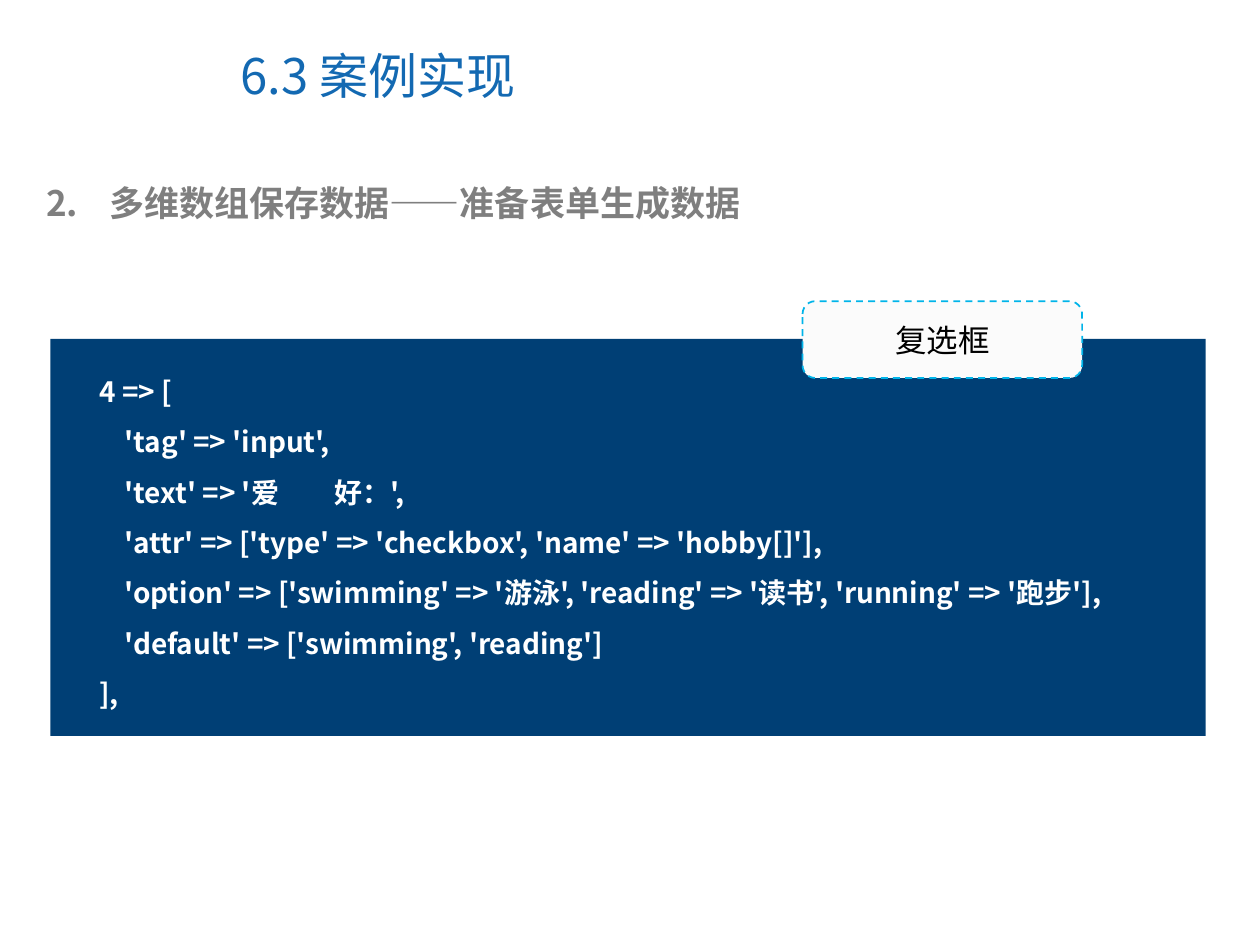
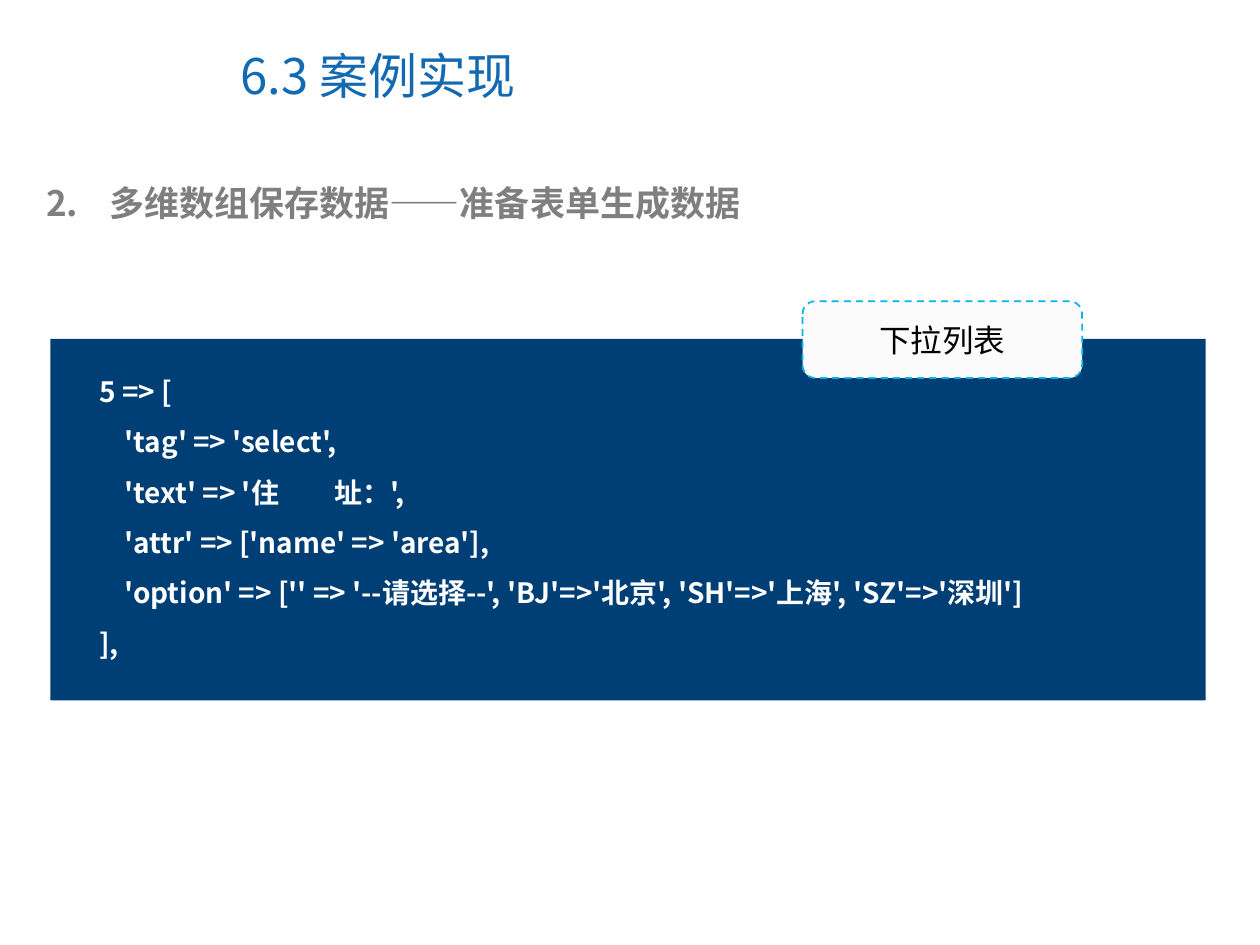
"""Build two slides that show form data kept in a nested array."""
from lxml import etree
from pptx import Presentation
from pptx.dml.color import RGBColor
from pptx.enum.dml import MSO_LINE
from pptx.enum.shapes import MSO_SHAPE
from pptx.enum.text import MSO_ANCHOR, PP_ALIGN
from pptx.oxml.ns import qn
from pptx.util import Pt

TITLE = "6.3 案例实现"
HEADING = "多维数组保存数据——准备表单生成数据"
HEADING_NUMBER = 2
PAGES = [
    {
        "label": "复选框",
        "panel_height": 226.8,
        "code": [
            "4 => [",
            "    'tag' => 'input',",
            "    'text' => '爱　　好：',",
            "    'attr' => ['type' => 'checkbox', 'name' => 'hobby[]'],",
            "    'option' => ['swimming' => '游泳', 'reading' => '读书', 'running' => '跑步'],",
            "    'default' => ['swimming', 'reading']",
            "],",
        ],
    },
    {
        "label": "下拉列表",
        "panel_height": 206.6,
        "code": [
            "5 => [",
            "    'tag' => 'select',",
            "    'text' => '住　　址：',",
            "    'attr' => ['name' => 'area'],",
            "    'option' => ['' => '--请选择--', 'BJ'=>'北京', 'SH'=>'上海', 'SZ'=>'深圳']",
            "],",
        ],
    },
]

BLUE = RGBColor(0x13, 0x69, 0xB2)
GRAY = RGBColor(0x7F, 0x7F, 0x7F)
NAVY = RGBColor(0x00, 0x3F, 0x75)
CYAN = RGBColor(0x00, 0xB4, 0xE9)
PALE = RGBColor(0xFB, 0xFB, 0xFB)
WHITE = RGBColor(0xFF, 0xFF, 0xFF)
BLACK = RGBColor(0x00, 0x00, 0x00)

RECTANGLE, ROUNDED = MSO_SHAPE.RECTANGLE, MSO_SHAPE.ROUNDED_RECTANGLE
TOP, MIDDLE = MSO_ANCHOR.TOP, MSO_ANCHOR.MIDDLE
LEFT, CENTER = PP_ALIGN.LEFT, PP_ALIGN.CENTER
DASH = MSO_LINE.DASH

CJK_FONT = "Noto Sans CJK SC"
TITLE_FONT = {"name": CJK_FONT, "size": Pt(28), "color": BLUE}
HEADING_FONT = {"name": CJK_FONT, "size": Pt(20), "bold": True, "color": GRAY}
CODE_FONT = {"name": CJK_FONT, "size": Pt(16), "bold": True, "color": WHITE}
LABEL_FONT = {"name": "Arial", "size": Pt(18), "color": BLACK}

TITLE_AREA = (130.3, 12.2, 371.5, 61.2)
HEADING_AREA = (19.4, 100.1, 663.8, 31.7)
LABEL_AREA = (458.6, 172.1, 159.8, 43.9)
PANEL_LEFT, PANEL_TOP, PANEL_WIDTH = 28.8, 193.7, 660.2
CODE_INSET_X, CODE_INSET_Y = 20.9, 7.2
CODE_LINE_HEIGHT = 28.8
HEADING_INDENT = 36


def write(box, lines, style, anchor=TOP, align=LEFT, spacing=None):
    """Fill a box with one styled paragraph for each line."""
    frame = box.text_frame
    frame.word_wrap = True
    frame.vertical_anchor = anchor
    for index, line in enumerate(lines):
        para = frame.add_paragraph() if index else frame.paragraphs[0]
        para.alignment = align
        para.line_spacing = spacing
        span = para.add_run()
        span.text = line
        for name, value in style.items():
            if name == "color":
                span.font.color.rgb = value
            else:
                setattr(span.font, name, value)
        east_asian = etree.SubElement(span.font._element, qn("a:ea"))
        east_asian.set("typeface", CJK_FONT)


def add_text(page, area, lines, style, **layout):
    """Add a text box and return it."""
    box = page.shapes.add_textbox(*map(Pt, area))
    write(box, lines, style, **layout)
    return box


def add_panel(page, kind, area, fill):
    """Add a filled shape without shadow or outline and return it."""
    panel = page.shapes.add_shape(kind, *map(Pt, area))
    panel.shadow.inherit = False
    panel.fill.solid()
    panel.fill.fore_color.rgb = fill
    panel.line.fill.background()
    return panel


def number_paragraph(para, start):
    """Give a paragraph a hanging automatic number."""
    properties = para._p.get_or_add_pPr()
    properties.set("marL", str(Pt(HEADING_INDENT)))
    properties.set("indent", str(-Pt(HEADING_INDENT)))
    color = etree.SubElement(properties, qn("a:buClr"))
    etree.SubElement(color, qn("a:srgbClr")).set("val", str(GRAY))
    number = etree.SubElement(properties, qn("a:buAutoNum"))
    number.set("type", "arabicPeriod")
    number.set("startAt", str(start))


def add_code(page, code, height):
    """Add the dark panel and the code on it."""
    add_panel(page, RECTANGLE, (PANEL_LEFT, PANEL_TOP, PANEL_WIDTH, height), NAVY)
    area = (PANEL_LEFT + CODE_INSET_X, PANEL_TOP + CODE_INSET_Y,
            PANEL_WIDTH - CODE_INSET_X, len(code) * CODE_LINE_HEIGHT + 7.2)
    add_text(page, area, code, CODE_FONT, spacing=1.5)


def add_label(page, text):
    """Add the dashed label over the edge of the code panel."""
    label = add_panel(page, ROUNDED, LABEL_AREA, PALE)
    label.line.color.rgb = CYAN
    label.line.width = Pt(1)
    label.line.dash_style = DASH
    write(label, [text], LABEL_FONT, anchor=MIDDLE, align=CENTER)


def main():
    """Build and save the deck."""
    deck = Presentation()
    deck.slide_width, deck.slide_height = Pt(720), Pt(540)
    for content in PAGES:
        page = deck.slides.add_slide(deck.slide_layouts[6])
        add_text(page, TITLE_AREA, [TITLE], TITLE_FONT, anchor=MIDDLE)
        heading = add_text(page, HEADING_AREA, [HEADING], HEADING_FONT)
        number_paragraph(heading.text_frame.paragraphs[0], HEADING_NUMBER)
        add_code(page, content["code"], content["panel_height"])
        add_label(page, content["label"])
    deck.save("out.pptx")


if __name__ == "__main__":
    main()
